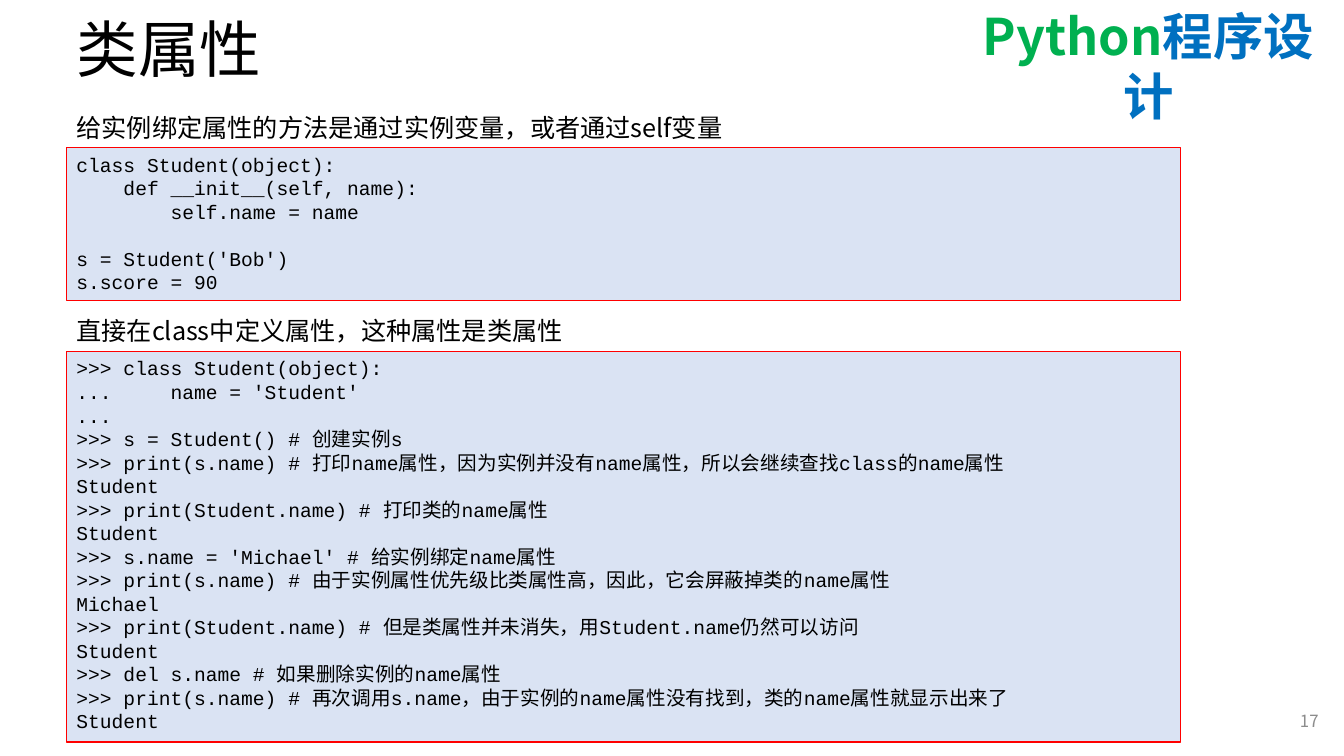
from dataclasses import dataclass

from lxml import etree
from pptx import Presentation
from pptx.dml.color import RGBColor
from pptx.enum.shapes import MSO_SHAPE
from pptx.enum.text import MSO_ANCHOR, MSO_AUTO_SIZE, PP_ALIGN
from pptx.oxml.ns import qn
from pptx.util import Pt

RECT = MSO_SHAPE.RECTANGLE
TOP, MID = MSO_ANCHOR.TOP, MSO_ANCHOR.MIDDLE
LEFT, MIDDLE, RIGHT = PP_ALIGN.LEFT, PP_ALIGN.CENTER, PP_ALIGN.RIGHT
FIXED = MSO_AUTO_SIZE.NONE


@dataclass(frozen=True)
class Theme:
    ink: str = "000000"
    green: str = "00B050"
    blue: str = "0070C0"
    gray: str = "8C8C8C"
    panel: str = "DAE3F3"
    edge: str = "FF0000"
    sans: str = "Noto Sans CJK SC"
    head: str = "Arial"
    mono: str = "Courier New"
    title: int = 44
    brand: int = 36
    lead: int = 18
    code: int = 14
    page: int = 12


THEME = Theme()

BOUND = "给实例绑定属性的方法是通过实例变量，或者通过self变量"
BOUND_CODE = """class Student(object):
    def __init__(self, name):
        self.name = name

s = Student('Bob')
s.score = 90"""

SHARED = "直接在class中定义属性，这种属性是类属性"
SHARED_CODE = """>>> class Student(object):
...     name = 'Student'
...
>>> s = Student() # 创建实例s
>>> print(s.name) # 打印name属性，因为实例并没有name属性，所以会继续查找class的name属性
Student
>>> print(Student.name) # 打印类的name属性
Student
>>> s.name = 'Michael' # 给实例绑定name属性
>>> print(s.name) # 由于实例属性优先级比类属性高，因此，它会屏蔽掉类的name属性
Michael
>>> print(Student.name) # 但是类属性并未消失，用Student.name仍然可以访问
Student
>>> del s.name # 如果删除实例的name属性
>>> print(s.name) # 再次调用s.name，由于实例的name属性没有找到，类的name属性就显示出来了
Student"""


def style(run, face, size, color, bold=False):
    """Format a run, with the sans face for its Chinese characters."""
    font = run.font
    font.name, font.size, font.bold = face, Pt(size), bold
    font.color.rgb = RGBColor.from_string(color)
    east = etree.Element(qn("a:ea"), typeface=THEME.sans)
    font._element.find(qn("a:latin")).addnext(east)


def write(shape, text, face, size, color, align=LEFT, anchor=TOP):
    frame = shape.text_frame
    frame.text = text
    frame.word_wrap = True
    frame.auto_size = FIXED
    frame.vertical_anchor = anchor
    for para in frame.paragraphs:
        para.alignment = align
        para.font.size = Pt(size)
        for run in para.runs:
            style(run, face, size, color)


def place(shape, box):
    shape.left, shape.top, shape.width, shape.height = map(Pt, box)


def title(slide, box, text):
    shape = slide.shapes.title
    place(shape, box)
    write(shape, text, THEME.head, THEME.title, THEME.ink, anchor=MID)
    shape.text_frame.paragraphs[0].line_spacing = 0.9


def brand(slide, box):
    frame = slide.shapes.add_textbox(*map(Pt, box)).text_frame
    frame.word_wrap = True
    para = frame.paragraphs[0]
    para.alignment = MIDDLE
    for word, color in (("Python", THEME.green), ("程序设计", THEME.blue)):
        run = para.add_run()
        run.text = word
        style(run, THEME.sans, THEME.brand, color, bold=True)


def topic(slide, box, lead, code):
    """Place a lead line with its code panel below it."""
    x, y, w, h = box
    band = 29
    label = slide.shapes.add_textbox(Pt(x), Pt(y), Pt(w), Pt(band))
    write(label, lead, THEME.sans, THEME.lead, THEME.ink)
    panel = slide.shapes.add_shape(RECT, Pt(x), Pt(y + band), Pt(w), Pt(h - band))
    panel.shadow.inherit = False
    panel.fill.solid()
    panel.fill.fore_color.rgb = RGBColor.from_string(THEME.panel)
    panel.line.color.rgb = RGBColor.from_string(THEME.edge)
    panel.line.width = Pt(0.75)
    write(panel, code, THEME.mono, THEME.code, THEME.ink)


def page(slide, box, text):
    label = slide.shapes.add_textbox(*map(Pt, box))
    write(label, text, THEME.sans, THEME.page, THEME.gray, RIGHT, MID)


def main():
    deck = Presentation()
    deck.slide_width, deck.slide_height = Pt(960), Pt(540)
    slide = deck.slides.add_slide(deck.slide_layouts[5])
    x, w = 47.5, 795.5
    brand(slide, (682, 0, 276.5, 51))
    title(slide, (x, 0, 828, 75.5), "类属性")
    topic(slide, (x, 76.5, w, 138), BOUND, BOUND_CODE)
    topic(slide, (x, 222, w, 308), SHARED, SHARED_CODE)
    page(slide, (733, 500.5, 216, 29), "17")
    deck.save("out.pptx")


if __name__ == "__main__":
    main()
